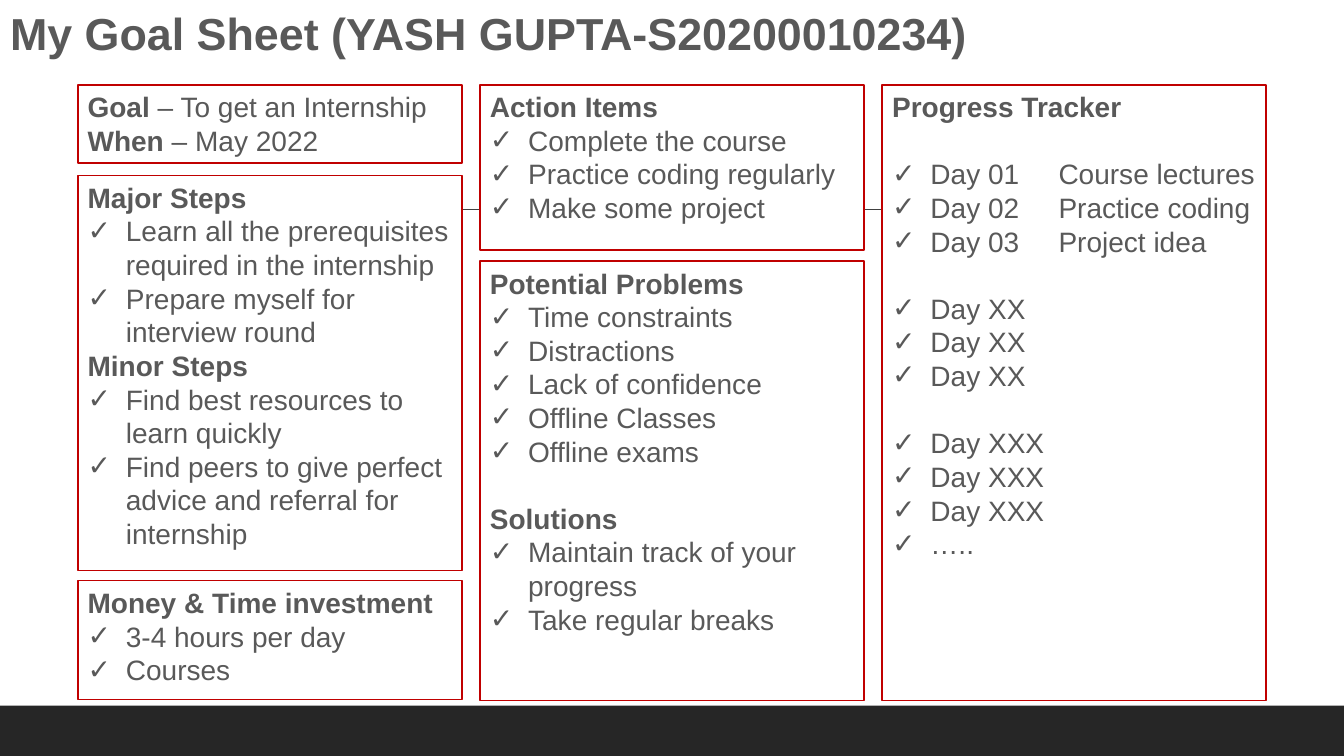
from pptx import Presentation
from pptx.util import Inches, Pt
from pptx.dml.color import RGBColor
from pptx.enum.shapes import MSO_SHAPE as Shape, MSO_CONNECTOR as Wire
from pptx.enum.text import PP_ALIGN as Align, MSO_ANCHOR as Anchor
from pptx.oxml import parse_xml
from pptx.oxml.ns import nsdecls
from lxml.etree import SubElement

RED, GREY, DARK = "C00000", "595959", "262626"
LEFT, TOP, WIDE, STEP = 0.77, 0.84, 3.81, 3.99  # column grid, inches


def color(code):
    return RGBColor.from_string(code)


def style(para, size, bold):
    """Format a paragraph and all its runs."""
    para.alignment = Align.LEFT
    para.line_spacing = Pt(size * 1.2)
    for run in para.runs:
        font = run.font
        font.name, font.size, font.bold = "Arial", Pt(size), bold
        font.color.rgb = color(GREY)


deck = Presentation()
deck.slide_width, deck.slide_height = Inches(13.33), Inches(7.5)
slide = deck.slides.add_slide(deck.slide_layouts[5])
shapes = slide.shapes

# Title
title = shapes.title
title.left, title.top = Inches(0), Inches(0.01)
title.width, title.height = Inches(13), Inches(0.64)
title.text_frame.text = "My Goal Sheet (YASH GUPTA-S20200010234)"
title.text_frame.vertical_anchor = Anchor.TOP
style(title.text_frame.paragraphs[0], 32, True)

# Bottom band
band = shapes.add_shape(Shape.RECTANGLE, 0, Inches(7), deck.slide_width, Inches(0.5))
band.shadow.inherit = False
band.fill.solid()
band.fill.fore_color.rgb = color(DARK)
band.line.fill.background()

# Line running behind the columns
wire = shapes.add_connector(
    Wire.STRAIGHT, Inches(1.31), Inches(2.08), Inches(12.21), Inches(2.08))
wire.line.color.rgb = color("404040")
wire.line.width = Pt(1)
wire._element.spPr.append(parse_xml(f"<a:effectLst {nsdecls('a')}/>"))

# Boxes: column, top, height, groups of (heading, items, gap after heading)
# Inside a list of items, None leaves a one-line gap before the next item.
boxes = [
    (0, 5.76, 1.18, [("Money & Time investment", ["3-4 hours per day", "Courses"])]),
    (0, 1.74, 3.92, [
        ("Major Steps", ["Learn all the prerequisites required in the internship",
                         "Prepare myself for interview round"]),
        ("Minor Steps", ["Find best resources to learn quickly",
                         "Find peers to give perfect advice and referral for internship"])]),
    (0, TOP, 0.78, [("Goal – To get an Internship", []), ("When – May 2022", [])]),
    (1, TOP, 1.64, [("Action Items", ["Complete the course", "Practice coding regularly",
                                      "Make some project"])]),
    (1, 2.59, 4.36, [
        ("Potential Problems", ["Time constraints", "Distractions", "Lack of confidence",
                                "Offline Classes", "Offline exams", None]),
        ("Solutions", ["Maintain track of your progress", "Take regular breaks"])]),
    (2, TOP, 6.11, [
        ("Progress Tracker", [
            None, "Day 01\tCourse lectures", "Day 02\tPractice coding", "Day 03\tProject idea",
            None, *["Day XX"] * 3, None, *["Day XXX"] * 3, "….."])]),
]

for col, top, high, groups in boxes:
    box = shapes.add_shape(Shape.RECTANGLE, Inches(LEFT + col * STEP), Inches(top),
                           Inches(WIDE), Inches(high))
    box.shadow.inherit = False
    box.fill.solid()
    box.fill.fore_color.rgb = color("FFFFFF")
    box.line.color.rgb = color(RED)
    box.line.width = Pt(1.25)
    frame = box.text_frame
    frame.word_wrap = True
    frame.vertical_anchor = Anchor.TOP

    # Flatten the groups into (text, is item) rows
    rows = []
    for head, items in groups:
        rows += [(head, False)] + [(item, True) for item in items]
    frame.text = "\n".join(text for text, item in rows if text)

    paras = iter(frame.paragraphs)
    gap = False
    for text, item in rows:
        if text is None:
            gap = True
            continue
        para = next(paras)
        if " – " in text:
            lead, rest = text.split(" – ")
            para.text = lead
            para.add_run().text = " – " + rest
        style(para, 20, not item)
        for run in para.runs[1:]:
            run.font.bold = False
        para.space_before = Pt(24 if gap else 0)
        gap = False
        if item:
            # Hanging check mark, with a tab stop for the second column
            props = para._p.get_or_add_pPr()
            props.set("marL", str(Inches(0.38)))
            props.set("indent", str(Inches(-0.38)))
            props.append(parse_xml(f'<a:buFont {nsdecls("a")} typeface="Arial"/>'))
            props.append(parse_xml(f'<a:buChar {nsdecls("a")} char="✓"/>'))
            if "\t" in text:
                tabs = parse_xml(f"<a:tabLst {nsdecls('a')}/>")
                SubElement(tabs, tabs.tag.replace("tabLst", "tab"),
                           pos=str(Inches(1.65)), algn="l")
                props.append(tabs)

deck.save("out.pptx")
